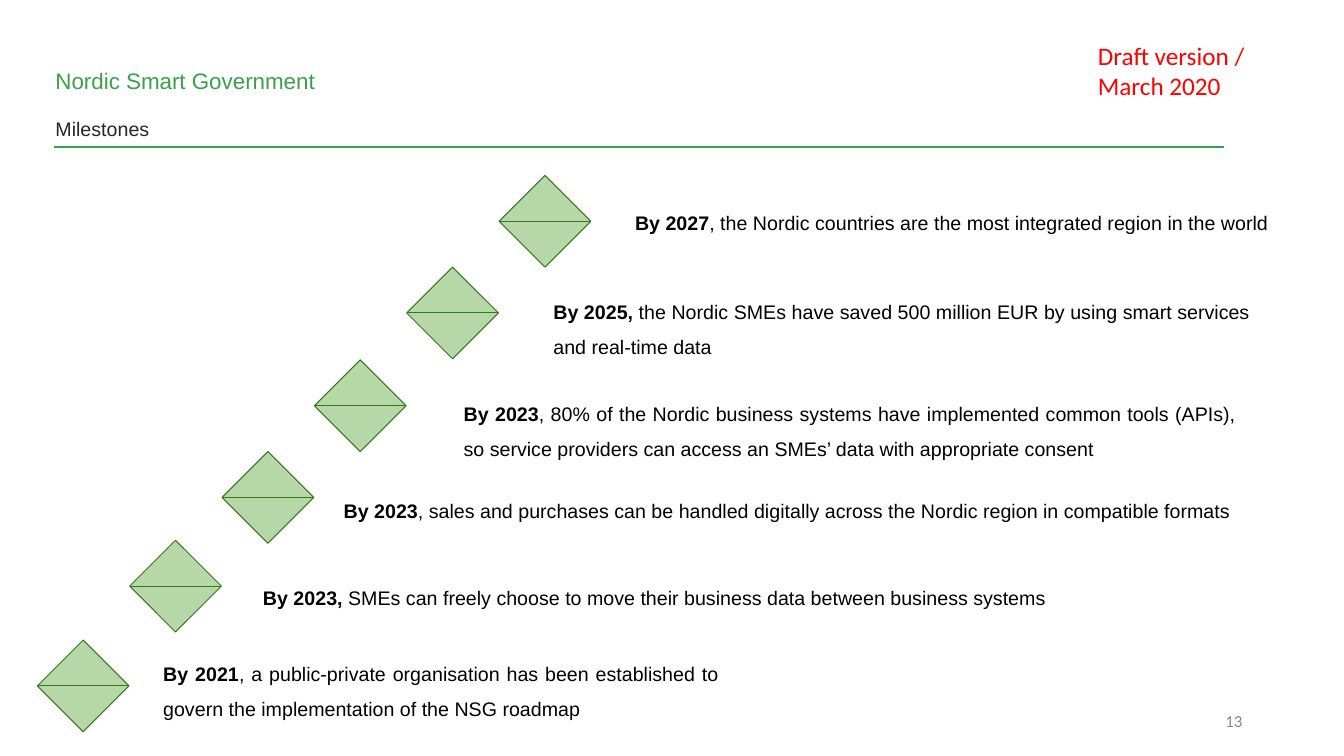
from pptx import Presentation
from pptx.dml.color import RGBColor
from pptx.enum.shapes import MSO_CONNECTOR, MSO_SHAPE
from pptx.enum.text import MSO_ANCHOR, MSO_AUTO_SIZE, PP_ALIGN
from pptx.oxml.ns import qn
from pptx.util import Inches, Pt

GREEN = RGBColor(0x3A, 0xA0, 0x4B)
PALE_GREEN = RGBColor(0xB6, 0xD7, 0xA8)
DARK_GREEN = RGBColor(0x38, 0x76, 0x1D)
BLACK = RGBColor(0, 0, 0)
DARK_GREY = RGBColor(0x26, 0x26, 0x26)
GREY = RGBColor(0x88, 0x88, 0x88)
RED = RGBColor(0xFF, 0, 0)

MARKER_SIZE = 0.91
MARKER_LEFT = 0.37
MARKER_STEP = 0.916

# marker top, text box, vertical inset, space before, date, statement
MILESTONES = [
    (6.35, (1.52, 6.35, 5.71, 0.63), 0.1, 0, "By 2021",
     ", a public-private organisation has been established to govern "
     "the implementation of the NSG roadmap"),
    (5.36, (2.51, 5.6, 9.44, 0.54), 0.1, 0, "By 2023,",
     " SMEs can freely choose to move their business data between business systems"),
    (4.48, (3.31, 4.73, 9.59, 0.63), 0.1, 0, "By 2023",
     ", sales and purchases can be handled digitally across the Nordic region "
     "in compatible formats"),
    (3.57, (4.5, 3.77, 7.86, 0.54), 0.1, 0, "By 2023",
     ", 80% of the Nordic business systems have implemented common tools (APIs), "
     "so service providers can access an SMEs\u2019 data with appropriate consent"),
    (2.65, (5.39, 2.76, 7.11, 0.63), 0.1, 10, "By 2025,",
     " the Nordic SMEs have saved 500 million EUR by using smart services "
     "and real-time data"),
    (1.74, (6.2, 1.93, 6.5, 0.54), 0.05, 10, "By 2027",
     ", the Nordic countries are the most integrated region in the world"),
]


def add_run(p, text, size, color, font="Arial", bold=False):
    """Add one formatted run to a paragraph."""
    r = p.add_run()
    r.text = text
    r.font.size = Pt(size)
    r.font.name = font
    r.font.bold = bold
    r.font.color.rgb = color


def set_frame(tf, inset=0.05, anchor=MSO_ANCHOR.TOP):
    """Set wrapping, insets and anchor of a text frame."""
    tf.word_wrap = True
    tf.auto_size = MSO_AUTO_SIZE.NONE
    tf.vertical_anchor = anchor
    tf.margin_left = tf.margin_right = Inches(0.1)
    tf.margin_top = tf.margin_bottom = Inches(inset)


def add_text_box(s, box, inset=0.05, anchor=MSO_ANCHOR.TOP, align=PP_ALIGN.LEFT):
    """Add a text box and return its first paragraph."""
    tf = s.shapes.add_textbox(*map(Inches, box)).text_frame
    set_frame(tf, inset, anchor)
    p = tf.paragraphs[0]
    p.alignment = align
    return p


def add_heading(s):
    """Fill the title placeholder with the heading and its subheading."""
    title = s.shapes.title
    title.left, title.top = Inches(0.45), Inches(0.62)
    title.width, title.height = Inches(12.54), Inches(0.85)
    tf = title.text_frame
    set_frame(tf)
    p = tf.paragraphs[0]
    p.alignment = PP_ALIGN.LEFT
    add_run(p, "Nordic Smart Government", 16, GREEN)
    p = tf.add_paragraph()
    p.alignment = PP_ALIGN.LEFT
    p.space_before = Pt(16)
    add_run(p, "Milestones", 14, DARK_GREY)


def add_rule(s):
    """Draw the line under the heading."""
    y = Inches(1.46)
    line = s.shapes.add_connector(
        MSO_CONNECTOR.STRAIGHT, Inches(0.54), y, Inches(12.14), y)
    line.line.color.rgb = GREEN
    line.line.width = Pt(1)
    sp_pr = line._element.spPr
    sp_pr.append(sp_pr.makeelement(qn("a:effectLst"), {}))


def add_marker(s, left, top):
    """Draw a split diamond."""
    sp = s.shapes.add_shape(
        MSO_SHAPE.FLOWCHART_SORT, Inches(left), Inches(top),
        Inches(MARKER_SIZE), Inches(MARKER_SIZE))
    sp.shadow.inherit = False
    sp.fill.solid()
    sp.fill.fore_color.rgb = PALE_GREEN
    sp.line.color.rgb = DARK_GREEN
    sp.line.width = Pt(0.75)


def add_milestone(s, step, top, box, inset, space_before, date, statement):
    """Add one step of the staircase with its text."""
    add_marker(s, MARKER_LEFT + step * MARKER_STEP, top)
    p = add_text_box(s, box, inset, align=PP_ALIGN.JUSTIFY)
    p.line_spacing = 1.5
    p.space_before = Pt(space_before)
    add_run(p, date, 14, BLACK, bold=True)
    add_run(p, statement, 14, BLACK)


def main():
    """Build the milestones slide."""
    prs = Presentation()
    prs.slide_width, prs.slide_height = Inches(13.33), Inches(7.5)
    s = prs.slides.add_slide(prs.slide_layouts[5])
    add_heading(s)
    add_rule(s)
    p = add_text_box(s, (10.79, 0.35, 2.02, 0.4))
    add_run(p, "Draft version / March 2020", 18, RED, "Calibri")
    for step, milestone in enumerate(MILESTONES):
        add_milestone(s, step, *milestone)
    p = add_text_box(s, (9.42, 6.95, 3, 0.4), anchor=MSO_ANCHOR.MIDDLE,
                     align=PP_ALIGN.RIGHT)
    add_run(p, "13", 12, GREY, "Calibri")
    prs.save("out.pptx")


if __name__ == "__main__":
    main()
